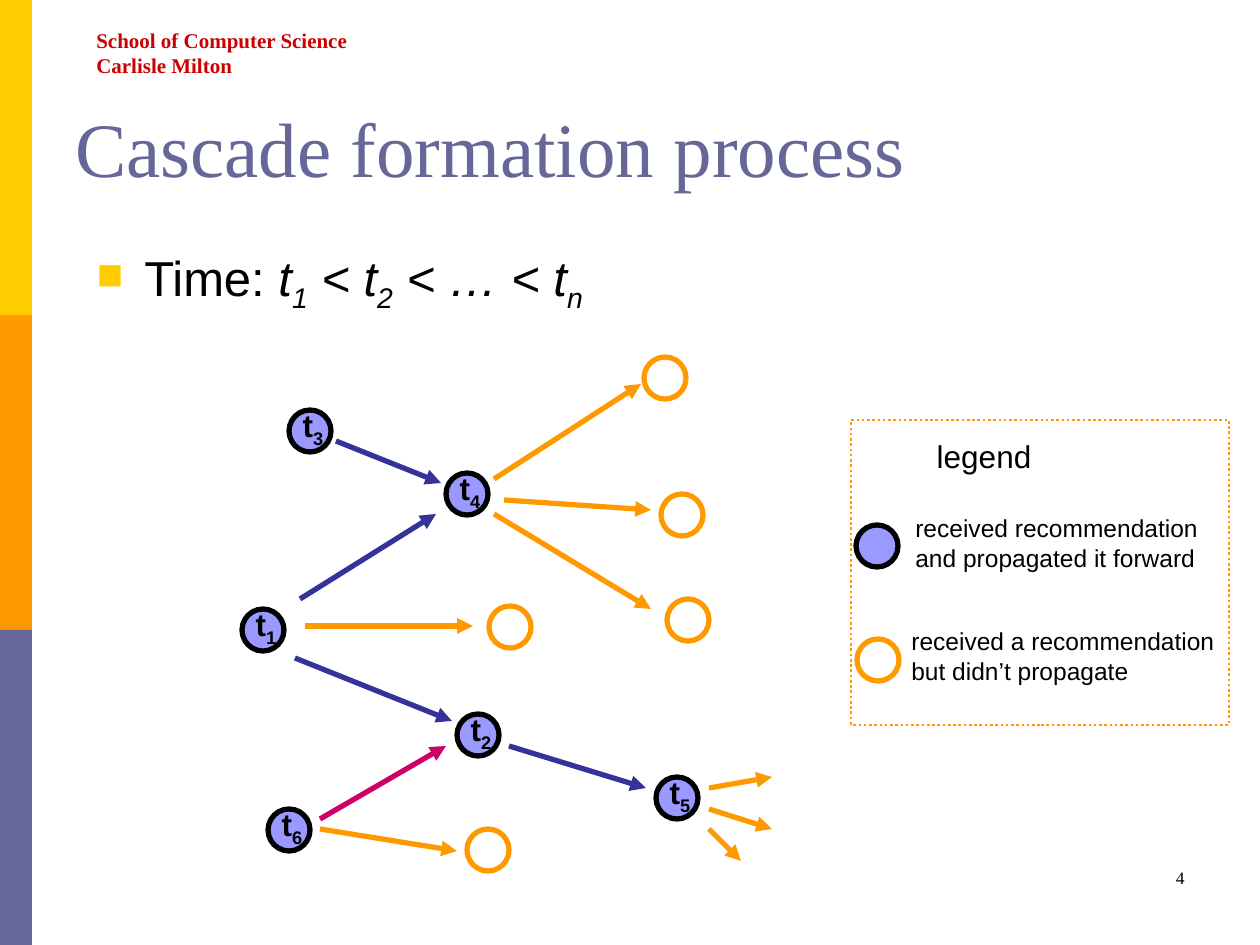
from lxml import etree
from pptx import Presentation
from pptx.dml.color import RGBColor
from pptx.enum.dml import MSO_LINE
from pptx.enum.shapes import MSO_CONNECTOR, MSO_SHAPE
from pptx.enum.text import MSO_ANCHOR, PP_ALIGN
from pptx.oxml.ns import qn
from pptx.util import Pt

SCALE = 914400 / 126
WIDTH, HEIGHT = 1260, 945
RECT, OVAL = MSO_SHAPE.RECTANGLE, MSO_SHAPE.OVAL
LEFT, CENTER, RIGHT = PP_ALIGN.LEFT, PP_ALIGN.CENTER, PP_ALIGN.RIGHT
TOP, BOTTOM = MSO_ANCHOR.TOP, MSO_ANCHOR.BOTTOM
DOTTED = MSO_LINE.ROUND_DOT
STRAIGHT = MSO_CONNECTOR.STRAIGHT

SERIF, SANS = "Times New Roman", "Arial"
BLACK, RED, SLATE, YELLOW = "000000", "CC0000", "666699", "FFCC00"
ORANGE, NAVY, MAGENTA, LILAC = "FF9900", "333399", "CC0066", "9999FF"
NODE = 42

NODES = [("3", 289, 410), ("4", 446, 473), ("1", 242, 609),
         ("2", 457, 714), ("5", 656, 777), ("6", 268, 809)]
OPEN_NODES = [(489, 606), (644, 357), (661, 494), (667, 599), (467, 829)]
ARROWS = [
    (ORANGE, 305, 626, 473, 626),
    (ORANGE, 494, 479, 641, 384),
    (ORANGE, 504, 500, 651, 510),
    (ORANGE, 494, 514, 651, 609),
    (ORANGE, 709, 788, 772, 777),
    (ORANGE, 709, 809, 772, 829),
    (ORANGE, 709, 829, 741, 861),
    (ORANGE, 320, 829, 457, 851),
    (MAGENTA, 320, 819, 446, 746),
    (NAVY, 295, 658, 452, 721),
    (NAVY, 300, 599, 436, 514),
    (NAVY, 336, 441, 441, 483),
    (NAVY, 509, 746, 646, 788),
]


def px(value):
    return round(value * SCALE)


def color(value):
    return RGBColor.from_string(value)


def add_figure(page, kind, left, top, width, height, fill=None, line=None, weight=3):
    figure = page.shapes.add_shape(kind, px(left), px(top), px(width), px(height))
    figure.shadow.inherit = False
    if fill:
        figure.fill.solid()
        figure.fill.fore_color.rgb = color(fill)
    else:
        figure.fill.background()
    if line:
        figure.line.color.rgb = color(line)
        figure.line.width = Pt(weight)
    else:
        figure.line.fill.background()
    return figure


def add_text(page, left, top, width, height, paragraphs, size, font=SANS, ink=BLACK,
             bold=False, align=LEFT, anchor=TOP, wrap=False, before=0):
    box = page.shapes.add_textbox(px(left), px(top), px(width), px(height))
    frame = box.text_frame
    frame.word_wrap = wrap
    frame.vertical_anchor = anchor
    for index, content in enumerate(paragraphs):
        para = frame.add_paragraph() if index else frame.paragraphs[0]
        para.text = content
        para.alignment = align
        para.space_before = Pt(before)
        para.font.size = Pt(size)
        para.font.name = font
        para.font.bold = bold
        para.font.color.rgb = color(ink)
    return frame.paragraphs[0]


def add_span(para, text, italic=False, subscript=False):
    span = para.add_run()
    span.text = text
    if italic:
        span.font.italic = True
    if subscript:
        span.font._element.set("baseline", "-25000")


def set_bullet(para, character, ink, percent, indent):
    properties = para._p.get_or_add_pPr()
    properties.set("marL", str(px(indent)))
    properties.set("indent", str(-px(indent)))
    bullet_color = etree.Element(qn("a:buClr"))
    etree.SubElement(bullet_color, qn("a:srgbClr"), val=ink)
    bullet_size = etree.Element(qn("a:buSzPct"), val=str(percent * 1000))
    bullet = etree.Element(qn("a:buChar"), char=character)
    defaults = properties.find(qn("a:defRPr"))
    for element in (bullet_color, bullet_size, bullet):
        defaults.addprevious(element)


def add_arrow(page, ink, x1, y1, x2, y2):
    arrow = page.shapes.add_connector(STRAIGHT, px(x1), px(y1), px(x2), px(y2))
    arrow.line.color.rgb = color(ink)
    arrow.line.width = Pt(3)
    etree.SubElement(arrow.line._get_or_add_ln(), qn("a:tailEnd"), type="triangle")
    etree.SubElement(arrow._element.spPr, qn("a:effectLst"))


def add_sender(page, left, top):
    add_figure(page, OVAL, left, top, NODE, NODE, LILAC, BLACK)


def add_open_node(page, left, top):
    add_figure(page, OVAL, left, top, NODE, NODE, line=ORANGE)


def add_labelled_node(page, number, left, top):
    add_sender(page, left, top)
    para = add_text(page, left - 16, top - 10, 80, 55, [""], 18,
                    bold=True, align=CENTER, wrap=True, before=4.5)
    add_span(para, "t")
    add_span(para, number, subscript=True)


def add_headings(page):
    for index, fill in enumerate((YELLOW, ORANGE, SLATE)):
        add_figure(page, RECT, 0, index * 315, 32, 315, fill)
    add_text(page, 84, 21, 276, 63, ["School of Computer Science", "Carlisle Milton"],
             12, SERIF, RED, bold=True)
    add_text(page, 63, 42, 1134, 157, ["Cascade formation process"],
             44, SERIF, SLATE, anchor=BOTTOM, wrap=True)
    add_text(page, 903, 861, 294, 63, ["4"], 10, SERIF, align=RIGHT, wrap=True)


def add_time_order(page):
    para = add_text(page, 84, 241, 1134, 80, [""], 28, wrap=True, before=7)
    set_bullet(para, "■", YELLOW, 75, 48)
    add_span(para, "Time: ")
    for text, index in (("t", "1"), (" < t", "2"), (" < … < t", "n")):
        add_span(para, text, italic=True)
        add_span(para, index, italic=True, subscript=True)


def add_legend(page):
    frame = add_figure(page, RECT, 851, 420, 378, 305, line=ORANGE, weight=1.5)
    frame.line.dash_style = DOTTED
    add_text(page, 924, 431, 120, 50, ["legend"], 18, align=CENTER, before=4.5)
    add_sender(page, 856, 525)
    add_text(page, 903, 507, 318, 72,
             ["received recommendation and propagated it forward"],
             14, wrap=True, before=3.5)
    add_open_node(page, 857, 639)
    add_text(page, 899, 620, 328, 72,
             ["received a recommendation\nbut didn’t propagate"], 14, before=3.5)


def main():
    deck = Presentation()
    deck.slide_width, deck.slide_height = px(WIDTH), px(HEIGHT)
    page = deck.slides.add_slide(deck.slide_layouts[6])
    add_headings(page)
    add_time_order(page)
    for arrow in ARROWS:
        add_arrow(page, *arrow)
    for position in OPEN_NODES:
        add_open_node(page, *position)
    for node in NODES:
        add_labelled_node(page, *node)
    add_legend(page)
    deck.save("out.pptx")


if __name__ == "__main__":
    main()
